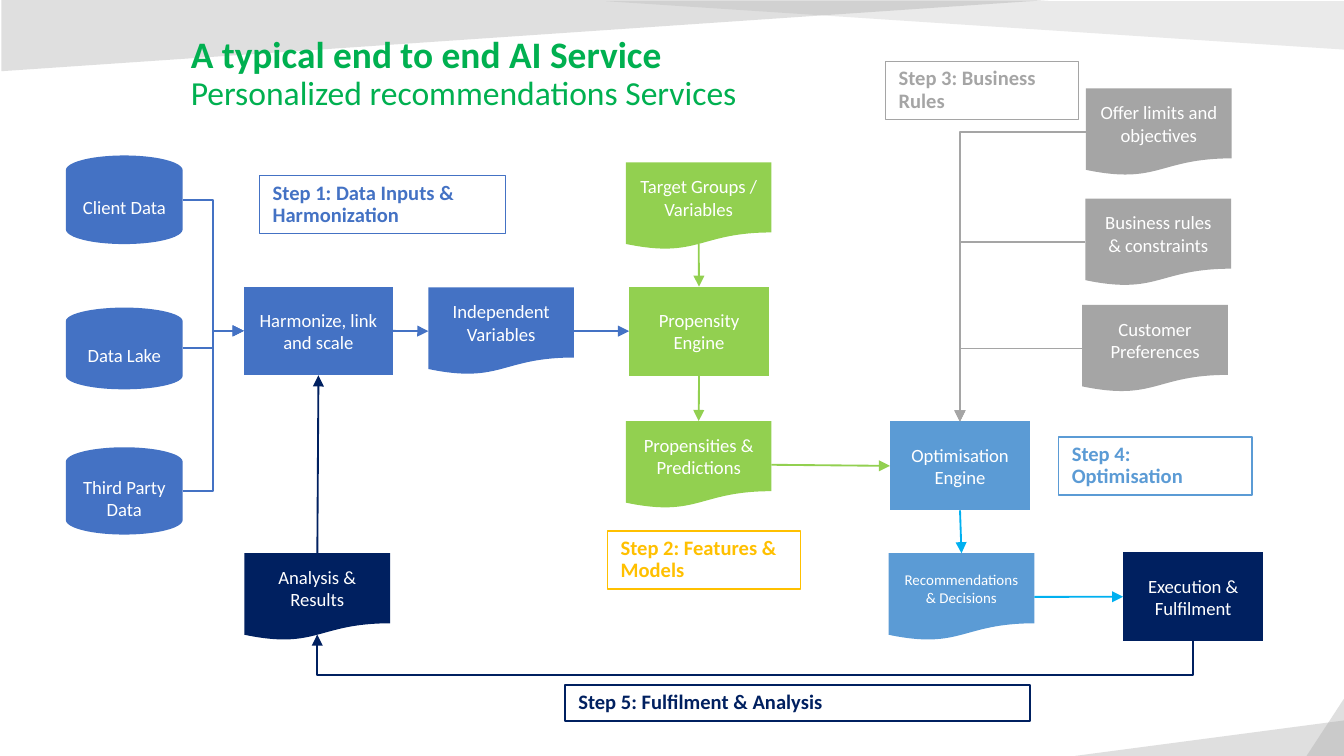
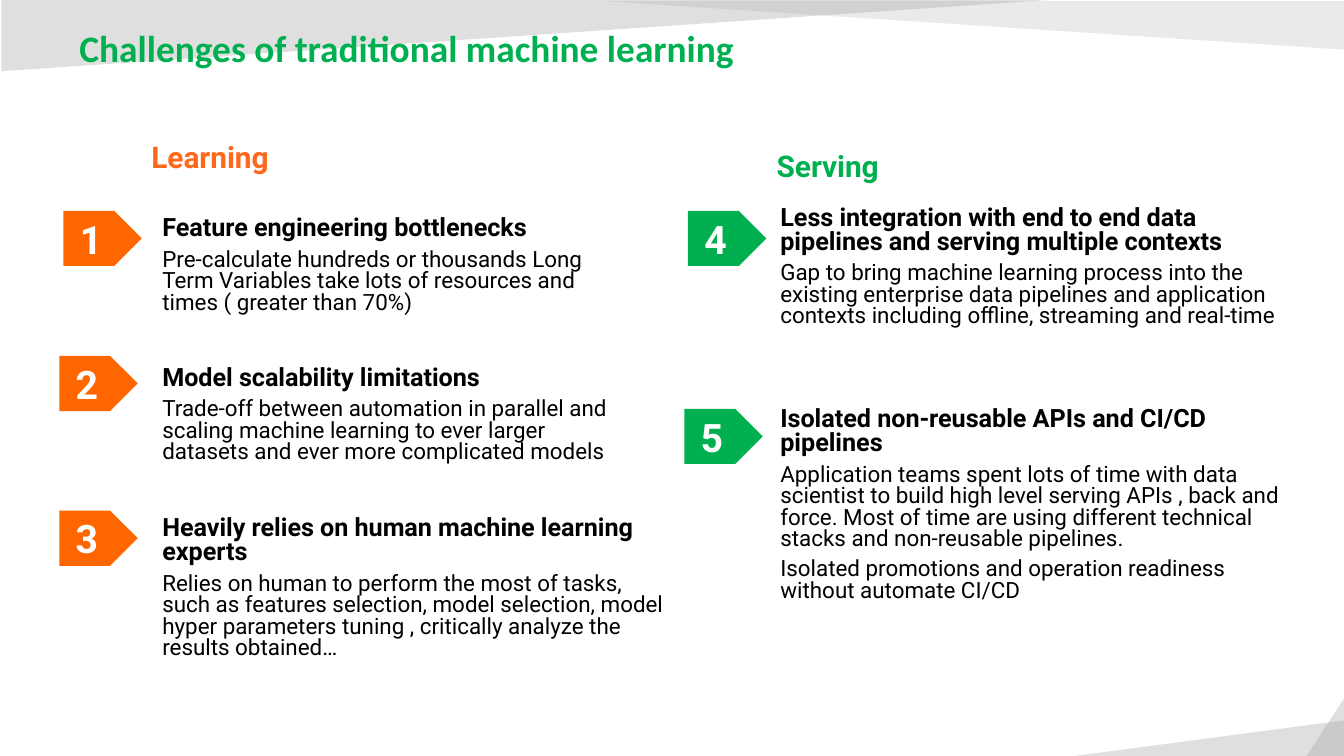
from dataclasses import dataclass
from enum import Enum

from lxml.etree import SubElement
from pptx import Presentation
from pptx.dml.color import RGBColor
from pptx.enum.shapes import MSO_CONNECTOR, MSO_SHAPE
from pptx.enum.text import MSO_ANCHOR, PP_ALIGN
from pptx.oxml.ns import qn
from pptx.shapes.autoshape import Shape
from pptx.shapes.connector import Connector
from pptx.slide import Slide
from pptx.text.text import _Paragraph
from pptx.util import Pt


@dataclass(frozen=True)
class Theme:
    blue: str = "4472C4"
    lime: str = "92D050"
    gray: str = "A5A5A5"
    sky: str = "5B9BD5"
    cyan: str = "00B0F0"
    navy: str = "002060"
    gold: str = "FFC000"
    green: str = "00B050"
    orange: str = "FF6600"
    learning: str = "FF671B"
    black: str = "000000"
    white: str = "FFFFFF"
    diagram_font: str = "Calibri"
    text_font: str = "Roboto"
    title: float = 20
    subtitle: float = 18
    column: float = 16
    heading: float = 13.5
    body: float = 12
    step: float = 11
    node: float = 10
    small_node: float = 8
    number: float = 21


THEME = Theme()
TOP, LEFT, BOTTOM, RIGHT = range(4)
DOCUMENT_EDGE = 0.93  # height of the wavy edge at its middle


class Route(Enum):
    STRAIGHT = "line"
    ELBOW = "bentConnector3"
    CORNER = "bentConnector2"
    UNDER = "under"


@dataclass(frozen=True)
class Box:
    left: float
    top: float
    width: float
    height: float


@dataclass(frozen=True)
class Band:
    box: Box
    flips: tuple[str, ...]
    opacity: int


@dataclass(frozen=True)
class Node:
    text: str
    kind: MSO_SHAPE
    box: Box
    color: str
    size: float = THEME.node

    def side(self, side: int) -> tuple[float, float]:
        """Middle of one side, on the visible edge."""
        b = self.box
        drop = DOCUMENT_EDGE if self.kind == MSO_SHAPE.FLOWCHART_DOCUMENT else 1
        across, down = {TOP: (0.5, 0), LEFT: (0, 0.5), BOTTOM: (0.5, drop), RIGHT: (1, 0.5)}[side]
        return b.left + across * b.width, b.top + down * b.height


@dataclass(frozen=True)
class Link:
    start: str
    start_side: int
    end: str
    end_side: int
    color: str
    route: Route = Route.STRAIGHT


@dataclass(frozen=True)
class Step:
    text: str
    box: Box
    color: str


@dataclass(frozen=True)
class Challenge:
    number: str
    badge: tuple[float, float]
    color: str
    text_box: Box
    heading: str
    details: tuple[str, ...]


BANDS = (
    Band(Box(576, 386, 144, 19), ("flipH",), 35),
    Band(Box(700, 374.4, 20, 30.6), ("flipH",), 35),
    Band(Box(0.7, 0, 561.6, 38.2), ("flipV",), 35),
    Band(Box(324.7, 0.7, 395.3, 25.9), ("flipH", "flipV"), 23),
)


def store(text: str, top: float, height: float) -> Node:
    return Node(text, MSO_SHAPE.FLOWCHART_MAGNETIC_DISK, Box(35.3, top, 62.6, height), THEME.blue)


def process(text: str, left: float, top: float, color: str, width: float = 75) -> Node:
    return Node(text, MSO_SHAPE.FLOWCHART_PROCESS, Box(left, top, width, 47.6), color)


def document(text: str, left: float, top: float, color: str, size: float = THEME.node) -> Node:
    return Node(text, MSO_SHAPE.FLOWCHART_DOCUMENT, Box(left, top, 78, 46.8), color, size)


NODES = {
    "client": store("Client Data", 83.3, 47.5),
    "lake": store("Data Lake", 164.8, 43.8),
    "third party": store("Third Party Data", 239.6, 46.8),
    "harmonize": process("Harmonize, link and scale", 130.6, 153.5, THEME.blue, 80),
    "variables": document("Independent Variables", 229.5, 154, THEME.blue),
    "propensity": process("Propensity Engine", 337, 153.6, THEME.lime),
    "targets": document("Target Groups / Variables", 335.3, 87, THEME.lime),
    "predictions": document("Propensities & Predictions", 335.3, 225.6, THEME.lime),
    "preferences": document("Customer Preferences", 579.8, 163.3, THEME.gray),
    "limits": document("Offer limits and objectives", 581.8, 47.3, THEME.gray),
    "constraints": document("Business rules & constraints", 581.5, 106.4, THEME.gray),
    "optimisation": process("Optimisation Engine", 476.8, 225.8, THEME.sky),
    "decisions": document("Recommendations & Decisions", 476.1, 296.4, THEME.sky, THEME.small_node),
    "execution": process("Execution & Fulfilment", 601.7, 295.9, THEME.navy),
    "analysis": document("Analysis & Results", 131, 296.4, THEME.navy),
}

LINKS = (
    *(Link(source, RIGHT, "harmonize", LEFT, THEME.blue, Route.ELBOW)
      for source in ("client", "lake", "third party")),
    Link("harmonize", RIGHT, "variables", LEFT, THEME.blue),
    Link("variables", RIGHT, "propensity", LEFT, THEME.blue),
    Link("targets", BOTTOM, "propensity", TOP, THEME.lime),
    Link("propensity", BOTTOM, "predictions", TOP, THEME.lime),
    Link("predictions", RIGHT, "optimisation", LEFT, THEME.lime),
    *(Link(rule, LEFT, "optimisation", TOP, THEME.gray, Route.CORNER)
      for rule in ("limits", "constraints", "preferences")),
    Link("optimisation", BOTTOM, "decisions", TOP, THEME.cyan),
    Link("decisions", RIGHT, "execution", LEFT, THEME.cyan),
    Link("execution", BOTTOM, "analysis", BOTTOM, THEME.navy, Route.UNDER),
    Link("analysis", TOP, "harmonize", BOTTOM, THEME.navy),
)

STEPS = (
    Step("Step 1: Data Inputs & Harmonization", Box(139, 94.1, 131.8, 31), THEME.blue),
    Step("Step 2: Features & Models", Box(325.4, 284.6, 103.6, 31), THEME.gold),
    Step("Step 3: Business Rules", Box(474.3, 33, 103.6, 31), THEME.gray),
    Step("Step 4: Optimisation", Box(567.1, 234.2, 103.6, 31), THEME.sky),
    Step("Step 5: Fulfilment & Analysis", Box(302.7, 366.9, 249.2, 19.3), THEME.navy),
)

CHALLENGES = (
    Challenge("1", (34, 113), THEME.orange, Box(79.9, 113, 266.4, 60.5),
              "Feature engineering bottlenecks",
              ("Pre-calculate hundreds or thousands Long Term Variables take lots of resources "
               "and times ( greater than 70%)",)),
    Challenge("2", (31.8, 190.7), THEME.orange, Box(79.9, 193.2, 266.4, 60.5),
              "Model scalability limitations",
              ("Trade-off between automation in parallel and scaling machine learning to ever "
               "larger datasets and ever more complicated models",)),
    Challenge("3", (31.8, 273.6), THEME.orange, Box(79.9, 273.6, 288, 103),
              "Heavily relies on human machine learning experts",
              ("Relies on human to perform the most of tasks, such as features selection, model "
               "selection, model hyper parameters tuning , critically analyze the results obtained…",)),
    Challenge("4", (368.6, 113), THEME.green, Box(411, 107.3, 280.8, 73.4),
              "Less integration with end to end data pipelines and serving multiple contexts",
              ("Gap to bring machine learning process into the existing enterprise data pipelines "
               "and application contexts including offline, streaming and real-time",)),
    Challenge("5", (366.6, 219), THEME.green, Box(411, 215.3, 292.3, 116),
              "Isolated non-reusable APIs and CI/CD pipelines",
              ("Application teams spent lots of time with data scientist to build high level serving "
               "APIs , back and force. Most of time are using different technical stacks and "
               "non-reusable pipelines.",
               "Isolated promotions and operation readiness without automate CI/CD")),
)


def add_box(slide: Slide, kind: MSO_SHAPE, box: Box, fill: str = "", line: str = "") -> Shape:
    shape = slide.shapes.add_shape(kind, Pt(box.left), Pt(box.top), Pt(box.width), Pt(box.height))
    shape.shadow.inherit = False
    if fill:
        shape.fill.solid()
        shape.fill.fore_color.rgb = RGBColor.from_string(fill)
    else:
        shape.fill.background()
    if line:
        shape.line.color.rgb = RGBColor.from_string(line)
        shape.line.width = Pt(0.75)
    else:
        shape.line.fill.background()
    shape.text_frame.word_wrap = True
    return shape


def add_text_box(slide: Slide, box: Box) -> Shape:
    shape = slide.shapes.add_textbox(Pt(box.left), Pt(box.top), Pt(box.width), Pt(box.height))
    shape.text_frame.word_wrap = True
    return shape


def style(paragraph: _Paragraph, font: str, size: float, color: str, bold: bool = False,
          align: PP_ALIGN = PP_ALIGN.LEFT, spacing: float = 1, before: float = 0) -> None:
    paragraph.alignment = align
    paragraph.line_spacing = spacing
    paragraph.space_before = Pt(before)
    paragraph.font.name = font
    paragraph.font.size = Pt(size)
    paragraph.font.bold = bold
    paragraph.font.color.rgb = RGBColor.from_string(color)


def write(shape: Shape, text: str, anchor: MSO_ANCHOR, *args, **kwargs) -> None:
    """Fill a shape with one paragraph; further arguments go to style()."""
    frame = shape.text_frame
    frame.vertical_anchor = anchor
    frame.text = text
    style(frame.paragraphs[0], *args, **kwargs)


def draw_bands(slide: Slide) -> None:
    for band in BANDS:
        properties = add_box(slide, MSO_SHAPE.RIGHT_TRIANGLE, band.box, THEME.gray).element.spPr
        for flip in band.flips:
            properties.find(qn("a:xfrm")).set(flip, "1")
        color = next(properties.iter(qn("a:srgbClr")))
        SubElement(color, qn("a:alpha")).set("val", str(band.opacity * 1000))


def draw_node(slide: Slide, node: Node) -> Shape:
    shape = add_box(slide, node.kind, node.box, node.color)
    write(shape, node.text, MSO_ANCHOR.MIDDLE, THEME.diagram_font, node.size, THEME.white,
          align=PP_ALIGN.CENTER)
    return shape


def add_under_connector(slide: Slide, start: tuple[float, float], end: tuple[float, float],
                        drop: float = 18) -> Connector:
    """Run down from start, back to the left, and up into end: a quarter-turned elbow."""
    (x1, y1), (x2, y2) = start, end
    middle_x, middle_y = (x1 + x2) / 2, (y1 + y2) / 2
    half_rise, half_run = (y1 - y2) / 2, (x1 - x2) / 2
    connector = slide.shapes.add_connector(
        MSO_CONNECTOR.ELBOW, Pt(middle_x + half_rise), Pt(middle_y - half_run),
        Pt(middle_x - half_rise), Pt(middle_y + half_run))
    properties = connector.element.spPr
    properties.find(qn("a:xfrm")).set("rot", str(90 * 60000))
    guide = SubElement(next(properties.iter(qn("a:avLst"))), qn("a:gd"))
    guide.set("name", "adj1")
    guide.set("fmla", f"val {round(-drop / (y1 - y2) * 100000)}")
    return connector


def draw_link(slide: Slide, link: Link, shapes: dict[str, Shape]) -> None:
    start = NODES[link.start].side(link.start_side)
    end = NODES[link.end].side(link.end_side)
    if link.route is Route.UNDER:
        connector = add_under_connector(slide, start, end)
    else:
        kind = MSO_CONNECTOR.STRAIGHT if link.route is Route.STRAIGHT else MSO_CONNECTOR.ELBOW
        connector = slide.shapes.add_connector(kind, *map(Pt, start + end))
        connector.element.spPr.find(qn("a:prstGeom")).set("prst", link.route.value)
    if link.route is Route.STRAIGHT:
        if link.start != "targets":  # its lower edge is a wave
            connector.begin_connect(shapes[link.start], link.start_side)
        connector.end_connect(shapes[link.end], link.end_side)
    connector.line.color.rgb = RGBColor.from_string(link.color)
    connector.line.width = Pt(1)
    properties = connector.element.spPr
    SubElement(properties.find(qn("a:ln")), qn("a:tailEnd")).set("type", "triangle")
    SubElement(properties, qn("a:effectLst"))


def draw_challenge(slide: Slide, challenge: Challenge) -> None:
    frame = add_text_box(slide, challenge.text_box).text_frame
    frame.text = "\n".join((challenge.heading, *challenge.details))
    for index, paragraph in enumerate(frame.paragraphs):
        size = THEME.body if index else THEME.heading
        style(paragraph, THEME.text_font, size, THEME.black, index == 0, spacing=0.8, before=4.5)
    badge = add_box(slide, MSO_SHAPE.PENTAGON, Box(*challenge.badge, 42, 29.5), challenge.color)
    write(badge, challenge.number, MSO_ANCHOR.MIDDLE, THEME.text_font, THEME.number, THEME.white, True)
    inner = badge.text_frame
    inner.margin_left, inner.margin_right = Pt(8.8), Pt(5)
    inner.margin_top = inner.margin_bottom = Pt(3)


def build_service_slide(slide: Slide) -> None:
    draw_bands(slide)
    frame = add_text_box(slide, Box(93.6, 15.8, 545.8, 34.6)).text_frame
    frame.margin_left = Pt(8.6)
    title = frame.paragraphs[0]
    style(title, THEME.diagram_font, THEME.title, THEME.green, spacing=0.9, before=7.5)
    title.add_run().text = "A typical end to end AI Service"
    title.add_line_break()
    title.add_run().text = "Personalized recommendations Services"
    service, subtitle = title.runs
    service.font.bold = True
    subtitle.font.size = Pt(THEME.subtitle)
    shapes = {key: draw_node(slide, node) for key, node in NODES.items()}
    for link in LINKS:
        draw_link(slide, link, shapes)
    for step in STEPS:
        label = add_box(slide, MSO_SHAPE.RECTANGLE, step.box, line=step.color)
        write(label, step.text, MSO_ANCHOR.TOP, THEME.diagram_font, THEME.step, step.color, True,
              spacing=0.9, before=6)


def build_challenges_slide(slide: Slide) -> None:
    draw_bands(slide)
    for challenge in CHALLENGES:
        draw_challenge(slide, challenge)
    for name, left, top, color in (("Learning", 74, 74.2, THEME.learning),
                                   ("Serving", 409, 79.2, THEME.green)):
        write(add_text_box(slide, Box(left, top, 266.4, 23)), name, MSO_ANCHOR.TOP,
              THEME.text_font, THEME.column, color, True, spacing=0.8, before=4.5)
    title = add_box(slide, MSO_SHAPE.ROUND_2_DIAG_RECTANGLE, Box(33.8, 14.5, 444.2, 35.3))
    title.text_frame.margin_top = Pt(0)
    write(title, "Challenges of traditional machine learning", MSO_ANCHOR.TOP,
          THEME.diagram_font, THEME.title, THEME.green, True, spacing=0.9)


def main() -> None:
    deck = Presentation()
    deck.slide_width, deck.slide_height = Pt(720), Pt(405)
    blank = deck.slide_layouts[6]
    for build in (build_service_slide, build_challenges_slide):
        build(deck.slides.add_slide(blank))
    deck.save("out.pptx")


if __name__ == "__main__":
    main()
